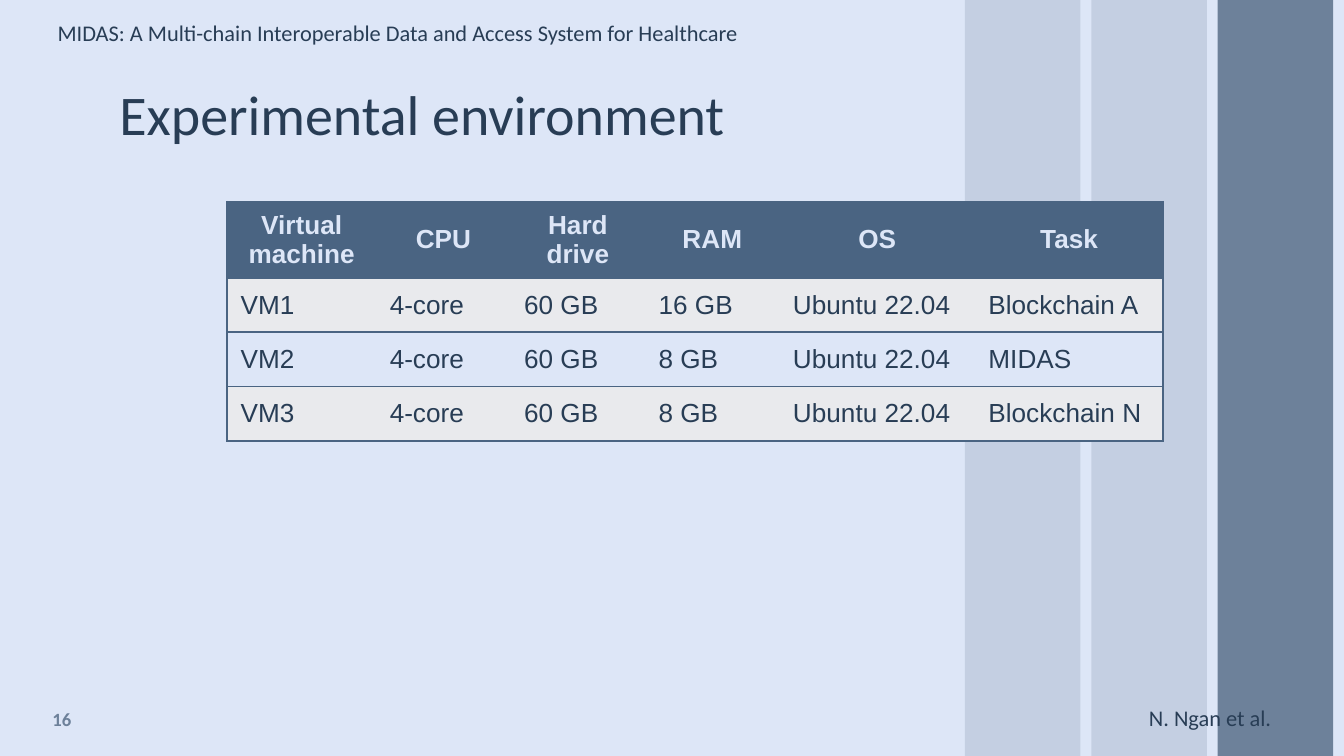
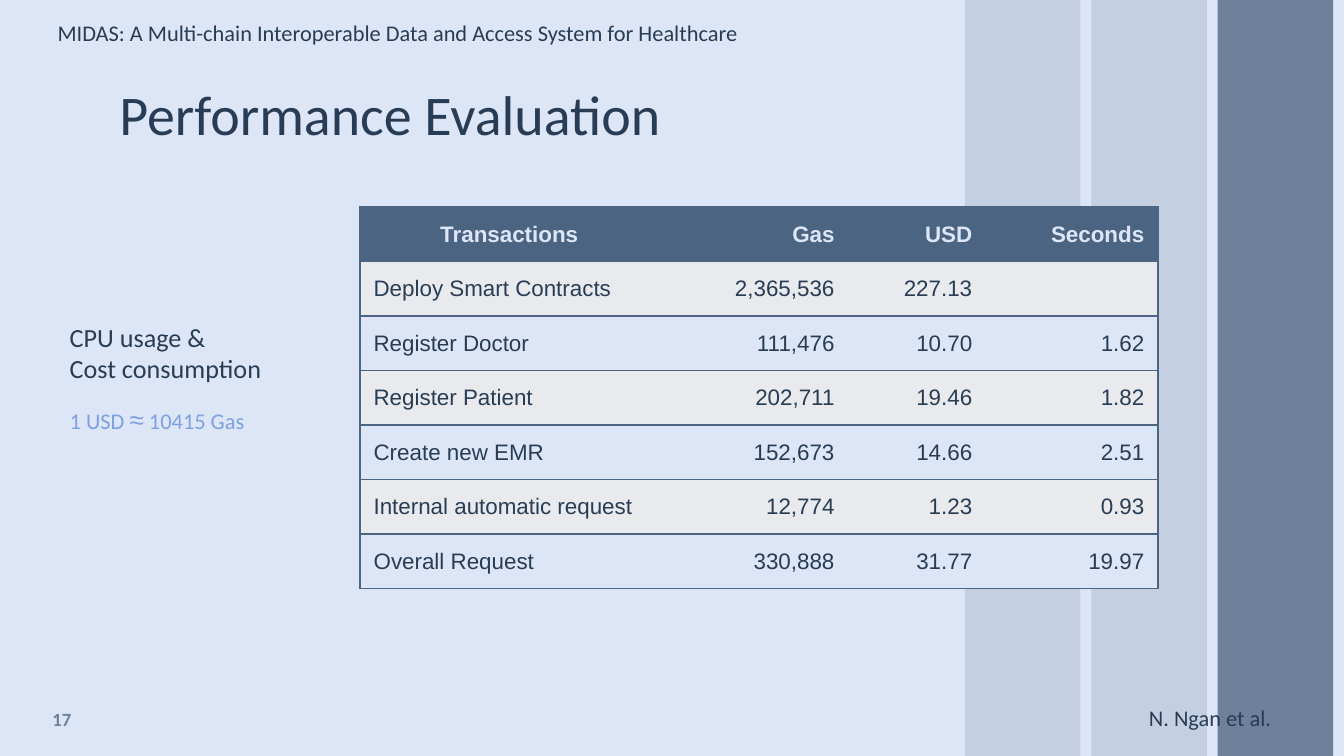
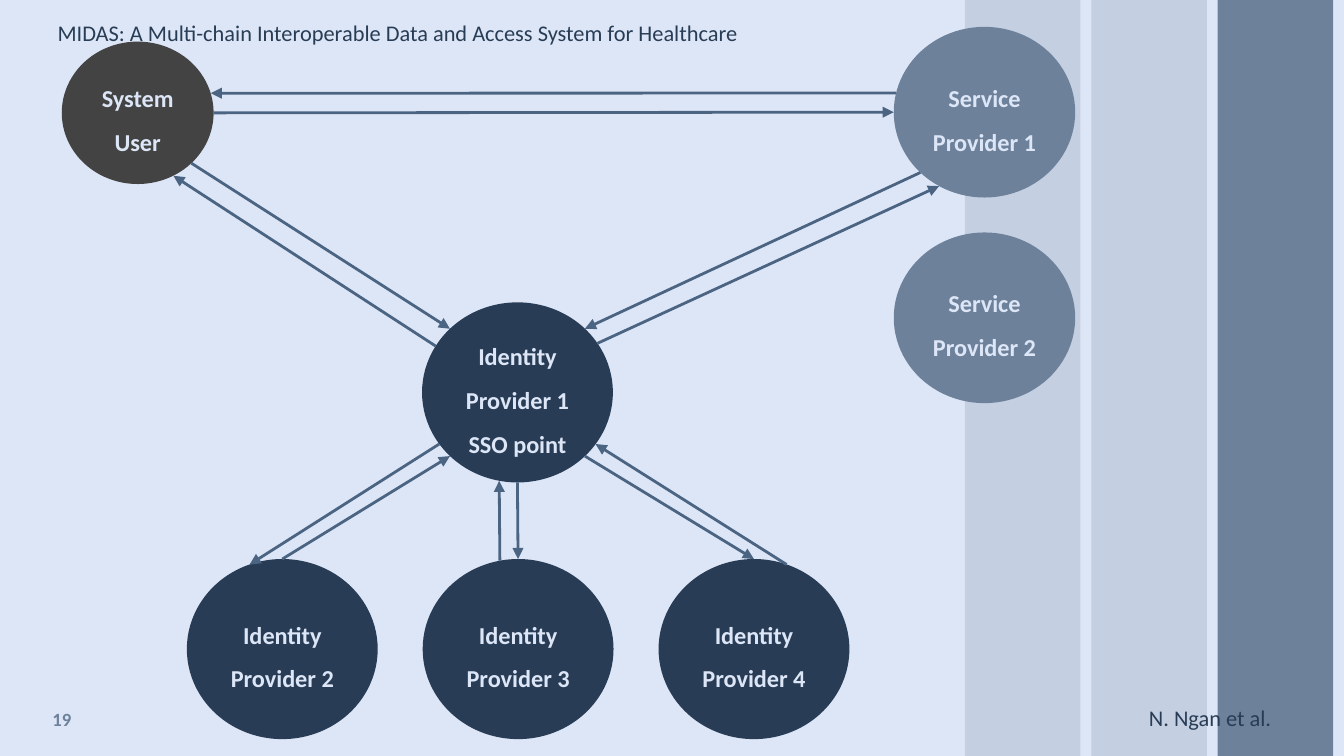
from math import cos, radians, sin
from typing import NamedTuple

from lxml.etree import SubElement as Sub
from pptx import Presentation
from pptx.dml.color import RGBColor as Rgb
from pptx.enum.shapes import MSO_CONNECTOR as Wire, MSO_SHAPE as Kind
from pptx.enum.text import MSO_ANCHOR as Anchor, PP_ALIGN as Align
from pptx.oxml.ns import qn
from pptx.util import Inches, Pt

# The grid: 100 columns across the slide, with square cells
WIDE, HIGH = Inches(10), Inches(5.625)
UNIT = WIDE / 100
ROWS = HIGH / UNIT

HUES = {
    "page": "DDE6F7", "ink": "283D55", "slate": "6D819A", "steel": "4A6482",
    "stripe": "E9EAED", "note": "7EA0E1", "coal": "434343",
}
BODY, DATA = "Calibri", "Arial"
LEFT, MID, RIGHT = Align.LEFT, Align.CENTER, Align.RIGHT


class Box(NamedTuple):
    x: float
    y: float
    w: float
    h: float

    def sub(self, x, y, w, h):
        return Box(self.x + x, self.y + y, w, h)

    def emu(self):
        return [round(v * UNIT) for v in self]

    def rim(self, turn):
        """Point on the inscribed ellipse, in degrees clockwise from the right."""
        a = radians(turn)
        return (self.x + self.w / 2 * (1 + cos(a)),
                self.y + self.h / 2 * (1 + sin(a)))


PAGE = Box(0, 0, 100, ROWS)


# Shared helpers
def hue(name):
    return Rgb.from_string(HUES[name])


def style(run, size, color, bold=False, face=BODY):
    font = run.font
    font.size, font.bold, font.name = Pt(size), bold, face
    font.color.rgb = hue(color)


def write(frame, text, size, color, bold=False, face=BODY, align=LEFT, gap=None):
    frame.text = text
    frame.word_wrap = True
    for par in frame.paragraphs:
        par.alignment = align
        par.line_spacing = gap
        for run in par.runs:
            style(run, size, color, bold, face)


def label(slide, box, text, size, color, inset=5, **look):
    frame = slide.shapes.add_textbox(*box.emu()).text_frame
    frame.margin_top = frame.margin_bottom = Inches(inset / 100)
    write(frame, text, size, color, **look)
    return frame


def solid(slide, kind, box, color):
    shape = slide.shapes.add_shape(kind, *box.emu())
    shape.shadow.inherit = False
    shape.fill.solid()
    shape.fill.fore_color.rgb = hue(color)
    shape.line.fill.background()
    return shape


# Regions
def bands(slide, box):
    for i, alpha in enumerate((22, 22, 100)):
        bar = solid(slide, Kind.RECTANGLE, box.sub(9.4 * i, 0, 8.6, box.h), "slate")
        if alpha < 100:
            tint = bar.fill._xPr.find(".//" + qn("a:srgbClr"))
            Sub(tint, qn("a:alpha"), val=str(alpha * 1000))


def frame(deck, number, title=None):
    slide = deck.slides.add_slide(deck.slide_layouts[6])
    bands(slide, PAGE.sub(71.8, 0, 27.4, ROWS))
    label(slide, PAGE.sub(3.3, 0.9, 68.4, 3),
          "MIDAS: A Multi-chain Interoperable Data and Access System for Healthcare",
          12, "ink")
    label(slide, PAGE.sub(84.5, 51.9, 14.8, 3), "N. Ngan et al.", 12, "ink")
    page = label(slide, PAGE.sub(2.3, 52, 4.6, 3), str(number), 10, "slate",
                 bold=True, align=MID)
    page.vertical_anchor = Anchor.MIDDLE
    if title:
        label(slide, PAGE.sub(7.9, 4.9, 84.3, 6.3), title, 30, "ink", inset=10)
    return slide


def edge(cell, sides):
    props = cell._tc.get_or_add_tcPr()
    for side in "LRTB":
        line = Sub(props, qn("a:ln" + side), w=str(Pt(1)))
        if side in sides:
            fill = Sub(line, qn("a:solidFill"))
            Sub(fill, qn("a:srgbClr"), val=HUES["steel"])
        else:
            Sub(line, qn("a:noFill"))


def grid(slide, box, cols, rows, size, heads, sides):
    """Table whose columns have the given widths and header/body alignments."""
    table = slide.shapes.add_table(len(rows), len(cols), *box.emu()).table
    table.horz_banding = False
    for col, wide in zip(table.columns, cols):
        col.width = round(wide * UNIT)
    last = len(cols) - 1
    for r, row in enumerate(rows):
        table.rows[r].height = round(box.h / len(rows) * UNIT)
        top = r == 0
        back = "steel" if top else "stripe" if r % 2 else "page"
        for c, text in enumerate(row):
            cell = table.cell(r, c)
            edge(cell, "TB" + "L" * (c == 0) + "R" * (c == last))
            cell.fill.solid()
            cell.fill.fore_color.rgb = hue(back)
            cell.vertical_anchor = Anchor.MIDDLE
            write(cell.text_frame, text, size, "page" if top else "ink",
                  bold=top, face=DATA, align=(heads if top else sides)[c])


def aside(slide, box):
    label(slide, box.sub(0, 0, 22.6, 6.7), "CPU usage &\vCost consumption",
          14, "ink", inset=10)
    rate = label(slide, box.sub(0, 6.1, 19.6, 4.4), "1 USD ", 12, "note", inset=10)
    par = rate.paragraphs[0]
    for text, size, face in (("≈", 14, DATA), (" 10415 Gas", 12, BODY)):
        run = par.add_run()
        run.text = text
        style(run, size, "note", face=face)


def node(slide, box, text, color):
    oval = solid(slide, Kind.OVAL, box, color)
    body = oval.text_frame
    body.margin_left = body.margin_right = 0
    body.vertical_anchor = Anchor.MIDDLE
    write(body, text, 13, "page", bold=True, align=MID, gap=1.5)


def arrow(slide, start, end):
    ends = [round(v * UNIT) for v in (*start, *end)]
    wire = slide.shapes.add_connector(Wire.STRAIGHT, *ends)
    wire.line.color.rgb = hue("steel")
    wire.line.width = Pt(1.5)
    Sub(wire.line._get_or_add_ln(), qn("a:tailEnd"), type="triangle")
    Sub(wire._element.spPr, qn("a:effectLst"))


def web(slide, box):
    # Nodes: user at the left, services at the right, identities below
    spots = {
        "user": (box.sub(0, 1.1, 11.3, 10.6), "System User", "coal"),
        "hub": (box.sub(26.8, 20.5, 14.2, 13.4),
                "Identity\nProvider 1\nSSO point", "ink"),
    }
    for i in range(2):
        spots[f"sp{i + 1}"] = (box.sub(61.9, 15.3 * i, 13.5, 12.7),
                               f"Service\nProvider {i + 1}", "slate")
    for i in range(3):
        spots[f"id{i + 2}"] = (box.sub(9.3 + 17.55 * i, 39.6, 14.2, 13.4),
                               f"Identity\nProvider {i + 2}", "ink")
    for spot in spots.values():
        node(slide, *spot)

    # Arrows run between rim angles, one each way for every linked pair
    links = [
        ("user", 0, "sp1", 180), ("sp1", 193, "user", -16),
        ("user", 45, "hub", 225), ("hub", 211, "user", 62),
        ("sp1", 135, "hub", 315), ("hub", 327, "sp1", 120),
        ("id2", 270, "hub", 135), ("hub", 145, "id2", 250),
        ("hub", 90, "id3", 270), ("id3", 259, "hub", 101),
        ("hub", 45, "id4", 270), ("id4", 290, "hub", 35),
    ]
    for a, out, b, into in links:
        arrow(slide, spots[a][0].rim(out), spots[b][0].rim(into))


# Slides
def setup(deck):
    slide = frame(deck, 16, "Experimental environment")
    rows = [
        ("Virtual machine", "CPU", "Hard drive", "RAM", "OS", "Task"),
        ("VM1", "4-core", "60 GB", "16 GB", "Ubuntu 22.04", "Blockchain A"),
        ("VM2", "4-core", "60 GB", "8 GB", "Ubuntu 22.04", "MIDAS"),
        ("VM3", "4-core", "60 GB", "8 GB", "Ubuntu 22.04", "Blockchain N"),
    ]
    grid(slide, PAGE.sub(16.9, 15, 69.7, 16.2), (11.1, 10, 10, 10, 14.55, 14),
         rows, 14, [MID] * 6, [LEFT] * 6)


def costs(deck):
    slide = frame(deck, 17, "Performance Evaluation")
    aside(slide, PAGE.sub(4.2, 22.9, 22.6, 10.5))
    rows = [
        ("Transactions", "Gas", "USD", "Seconds"),
        ("Deploy Smart Contracts", "2,365,536", "227.13", ""),
        ("Register Doctor", "111,476", "10.70", "1.62"),
        ("Register Patient", "202,711", "19.46", "1.82"),
        ("Create new EMR", "152,673", "14.66", "2.51"),
        ("Internal automatic request", "12,774", "1.23", "0.93"),
        ("Overall Request", "330,888", "31.77", "19.97"),
    ]
    nums = [RIGHT] * 3
    grid(slide, PAGE.sub(26.8, 15.4, 59.4, 28.4), (22.2, 14.1, 10.25, 12.8),
         rows, 12, [MID] + nums, [LEFT] + nums)


def flow(deck):
    web(frame(deck, 19), PAGE.sub(4.6, 2, 75.4, 53))


def main():
    deck = Presentation()
    deck.slide_width, deck.slide_height = WIDE, HIGH
    back = deck.slide_master.background.fill
    back.solid()
    back.fore_color.rgb = hue("page")
    for make in (setup, costs, flow):
        make(deck)
    deck.save("out.pptx")


if __name__ == "__main__":
    main()
